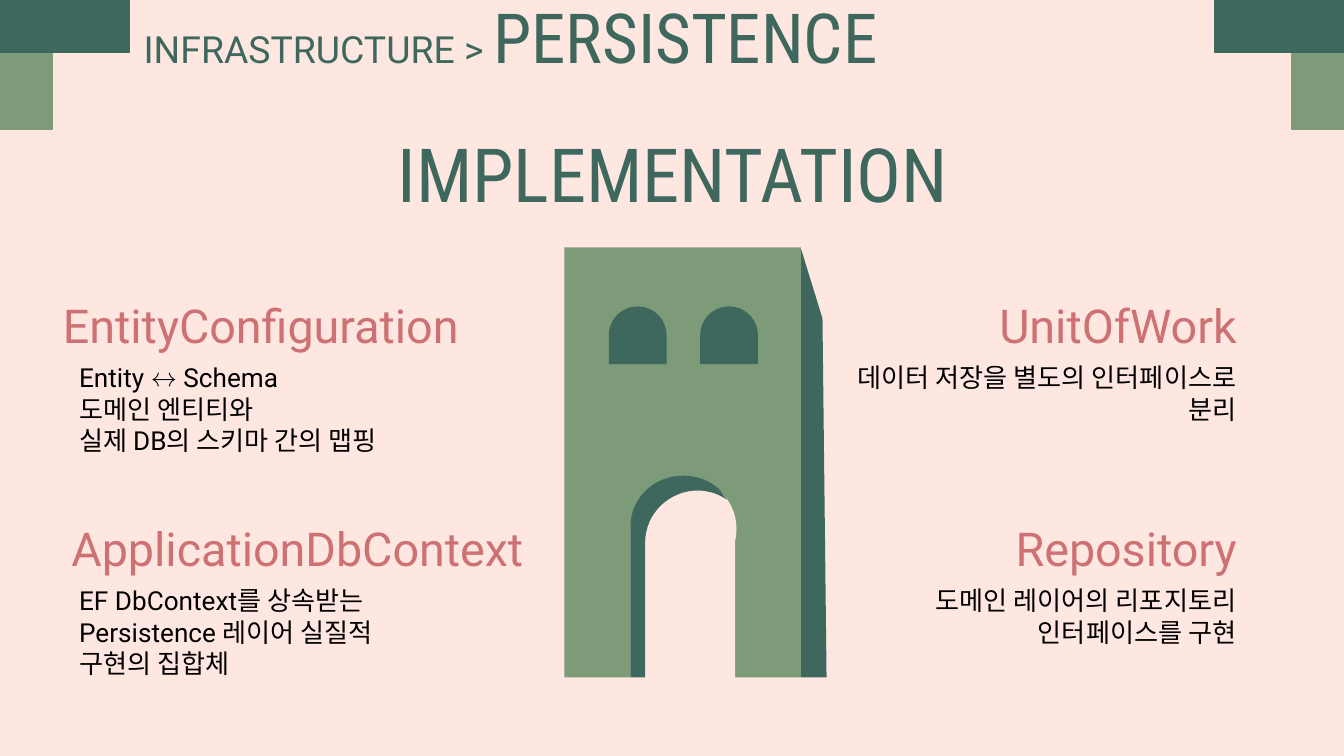
"""Build the Persistence Implementation slide with a gate tower and four topics."""
import pptx
import pptx.dml.color
import pptx.enum.shapes
import pptx.enum.text
import pptx.util

Inches = pptx.util.Inches
SHAPE = pptx.enum.shapes.MSO_SHAPE
ALIGN = pptx.enum.text.PP_ALIGN
ANCHOR = pptx.enum.text.MSO_ANCHOR
COLORS = {"paper": "FFE7E1", "sage": "7D9A79", "pine": "3E675D", "rose": "CE7173", "ink": "000000"}
COLORS = {name: pptx.dml.color.RGBColor.from_string(value) for name, value in COLORS.items()}


def paint(shape, color):
    shape.shadow.inherit = False
    shape.fill.solid()
    shape.fill.fore_color.rgb = COLORS[color]
    shape.line.fill.background()


def add_text(place, spans, align, anchor=ANCHOR.TOP, right_inset=0.1):
    box = page.shapes.add_textbox(*map(Inches, place))
    frame = box.text_frame
    frame.word_wrap = True
    frame.vertical_anchor = anchor
    frame.margin_left = frame.margin_top = frame.margin_bottom = Inches(0.1)
    frame.margin_right = Inches(right_inset)
    para = frame.paragraphs[0]
    para.text = spans[0][0]
    para.alignment = align
    for text, *style in spans[1:]:
        para.add_run().text = text
    styles = [span[1:] for span in spans]
    for index, span in enumerate(para.runs):
        size, font, color = styles[min(index, len(styles) - 1)]
        span.font.size = pptx.util.Pt(size)
        span.font.name = font
        span.font.color.rgb = COLORS[color]


deck = pptx.Presentation()
deck.slide_width = Inches(10)
deck.slide_height = Inches(10) * 9 // 16
page = deck.slides.add_slide(deck.slide_layouts[6])
page.background.fill.solid()
page.background.fill.fore_color.rgb = COLORS["paper"]

for width, height, color in [(0.39, 0.96, "sage"), (0.96, 0.39, "pine")]:
    for left in (0, 10 - width):
        corner = page.shapes.add_shape(SHAPE.RECTANGLE, *map(Inches, (left, 0, width, height)))
        paint(corner, color)
        corner.line.color.rgb = COLORS[color]
        corner.line.width = pptx.util.Pt(0.75)

tower_parts = [
    (SHAPE.RECTANGLE, (4.2, 1.84, 1.76, 3.2), "sage", 0),
    (SHAPE.OVAL, (4.7, 3.55, 0.78, 0.77), "paper", 0),
    (SHAPE.RECTANGLE, (4.69, 3.91, 0.78, 1.16), "paper", 0),
    (SHAPE.FLOWCHART_DELAY, (4.53, 2.28, 0.43, 0.43), "pine", 270),
    (SHAPE.FLOWCHART_DELAY, (5.21, 2.28, 0.43, 0.43), "pine", 270),
]
for kind, place, color, rotation in tower_parts:
    part = page.shapes.add_shape(kind, *map(Inches, place))
    part.rotation = rotation
    paint(part, color)

arch_curves = [
    [(5.08, 3.54), (4.88, 3.54), (4.69, 3.69), (4.69, 3.93)],
    [(4.8, 4.04), (4.8, 3.81), (4.99, 3.65), (5.19, 3.65)],
    [(5.19, 3.65), (5.26, 3.65), (5.34, 3.67), (5.41, 3.72)],
    [(5.41, 3.72), (5.39, 3.69), (5.37, 3.67), (5.36, 3.65)],
    [(5.36, 3.65), (5.28, 3.57), (5.18, 3.54), (5.08, 3.54)],
]
arch = []
for index, curve in enumerate(arch_curves):
    for step in range(17):
        t = step / 16
        weights = ((1 - t) ** 3, 3 * t * (1 - t) ** 2, 3 * t ** 2 * (1 - t), t ** 3)
        arch.append(tuple(sum(w * point[axis] for w, point in zip(weights, curve)) for axis in (0, 1)))
    if index == 0:
        arch += [(4.69, 5.04), (4.8, 5.04)]
tower_side = [(5.96, 1.85), (5.96, 5.04), (6.15, 5.04), (6.12, 2.37)]
for outline in (arch, tower_side):
    points = [(Inches(x), Inches(y)) for x, y in outline]
    builder = page.shapes.build_freeform(*points[0])
    builder.add_line_segments(points[1:], close=True)
    paint(builder.convert_to_shape(), "pine")

topics = [
    ("EntityConfiguration", (0.37, 2.11, 3.52, 0.47), ALIGN.LEFT,
     "Entity ↔ Schema\v도메인 엔티티와\v실제 DB의 스키마 간의 맵핑", (0.49, 2.59, 3.4, 0.77), ALIGN.LEFT, 0.2),
    ("ApplicationDbContext", (0.37, 3.77, 3.62, 0.47), ALIGN.RIGHT,
     "EF DbContext를 상속받는\vPersistence 레이어 실질적\v구현의 집합체", (0.49, 4.25, 3.52, 0.83), ALIGN.LEFT, 0.2),
    ("UnitOfWork", (6.2, 2.11, 3.1, 0.47), ALIGN.RIGHT,
     "데이터 저장을 별도의 인터페이스로 분리", (6.2, 2.59, 3.1, 0.59), ALIGN.RIGHT, 0.1),
    ("Repository", (6.2, 3.77, 3.1, 0.47), ALIGN.RIGHT,
     "도메인 레이어의 리포지토리 인터페이스를 구현", (6.2, 4.25, 3.1, 0.59), ALIGN.RIGHT, 0.1),
]
for heading, heading_place, heading_align, detail, detail_place, detail_align, inset in topics:
    add_text(heading_place, [(heading, 25, "Roboto", "rose")], heading_align)
    add_text(detail_place, [(detail, 14, "Roboto", "ink")], detail_align, right_inset=inset)

title = [("INFRASTRUCTURE > ", 20, "Roboto", "pine"), ("PERSISTENCE", 37, "Roboto Condensed", "pine")]
add_text((0.97, 0, 8.08, 0.53), title, ALIGN.LEFT, ANCHOR.MIDDLE)
subtitle = [("IMPLEMENTATION", 40, "Roboto Condensed", "pine")]
add_text((0.79, 1.02, 8.43, 0.53), subtitle, ALIGN.CENTER, ANCHOR.MIDDLE)

deck.save("out.pptx")
